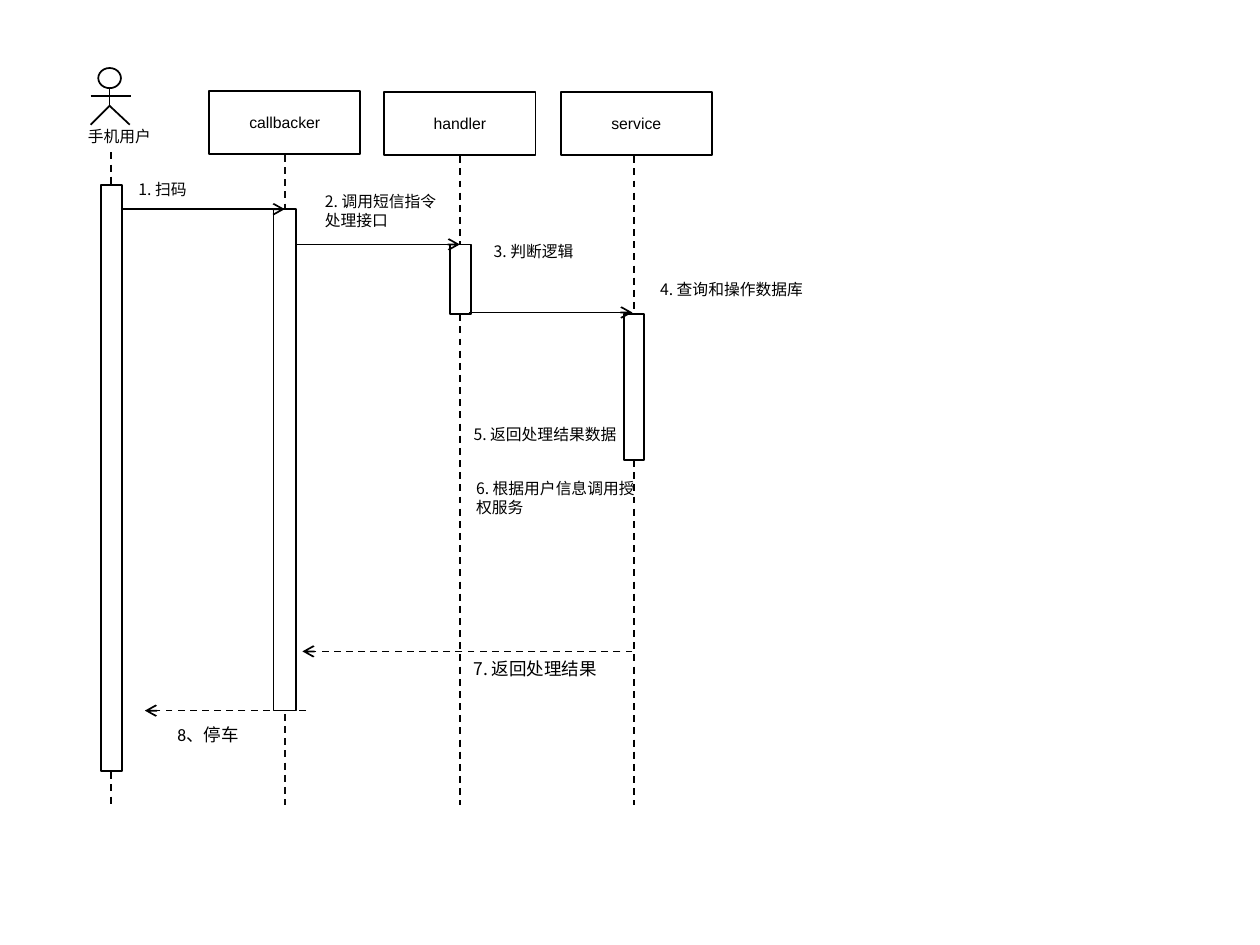
"""Builds a one-slide sequence diagram of a scan-to-park service."""
import lxml.etree
import pptx
import pptx.dml.color
import pptx.enum.dml
import pptx.enum.shapes
import pptx.enum.text
import pptx.oxml.ns
import pptx.util

PX = 9144
COLORS = {"ink": "000000", "paper": "FFFFFF", "soft": "0D0D0D"}
CJK_FONT = "Noto Sans CJK SC"
SHAPES = pptx.enum.shapes.MSO_SHAPE

PARTICIPANTS = [
    {"name": "callbacker", "box": (166, 72, 120, 567), "axis": 60, "bar": (94, 18, 398), "color": "soft"},
    {"name": "handler", "box": (305, 73, 120, 566), "axis": 60, "bar": (121, 17, 55), "color": "ink"},
    {"name": "service", "box": (445, 73, 120, 566), "axis": 58, "bar": (176, 16, 116), "color": "ink"},
]
ARROWS = [
    (96, 166, 226, False),
    (235, 194, 365, False),
    (372, 248, 502, False),
    (502, 517, 240, True),
    (243, 564, 115, True),
]
LABELS = [
    ("1. 扫码", (100, 138, 59, 40), {}),
    ("2. 调用短信指令处理接口", (248, 147, 108, 40), {}),
    ("3. 判断逻辑", (382, 187, 93, 25), {}),
    ("4. 查询和操作数据库", (514, 217, 152, 25), {}),
    ("5. 返回处理结果数据", (366, 332, 148, 25), {}),
    ("6. 根据用户信息调用授权服务", (368, 375, 146, 40), {}),
    ("7. 返回处理结果", (366, 517, 131, 27), {"size": 10}),
    ("8、停车", (131, 570, 69, 44), {"size": 10, "font": "Calibri"}),
]


def color(key):
    """Return the RGB colour stored under a key."""
    return pptx.dml.color.RGBColor.from_string(COLORS[key])


def emu(*lengths):
    """Turn px lengths into EMU."""
    return [pptx.util.Emu(length * PX) for length in lengths]


def write(shape, text, size=9, font=CJK_FONT, centered=False):
    """Put one formatted paragraph into a shape."""
    frame = shape.text_frame
    frame.word_wrap = True
    anchors = pptx.enum.text.MSO_ANCHOR
    frame.vertical_anchor = anchors.MIDDLE if centered else anchors.TOP
    para = frame.paragraphs[0]
    aligns = pptx.enum.text.PP_ALIGN
    para.alignment = aligns.CENTER if centered else aligns.LEFT
    span = para.add_run()
    span.text = text
    span.font.size = pptx.util.Pt(size)
    span.font.name = font
    span.font.color.rgb = color("ink")
    east_asian = lxml.etree.SubElement(span.font._element, pptx.oxml.ns.qn("a:ea"))
    east_asian.set("typeface", CJK_FONT)


def add_label(page, text, box, **style):
    """Add a text box."""
    write(page.shapes.add_textbox(*emu(*box)), text, **style)


def add_outlined(page, kind, box):
    """Add a white shape with a thin black outline."""
    shape = page.shapes.add_shape(kind, *emu(*box))
    shape.shadow.inherit = False
    shape.fill.solid()
    shape.fill.fore_color.rgb = color("paper")
    shape.line.color.rgb = color("ink")
    shape.line.width = pptx.util.Pt(1)
    return shape


def add_line(page, start, end, dashed=False, arrow=False, ink="ink"):
    """Add a straight line, dashed or with an open arrowhead if asked."""
    straight = pptx.enum.shapes.MSO_CONNECTOR.STRAIGHT
    connector = page.shapes.add_connector(straight, *emu(*start, *end))
    connector.line.color.rgb = color(ink)
    connector.line.width = pptx.util.Pt(1)
    if dashed:
        connector.line.dash_style = pptx.enum.dml.MSO_LINE.DASH
    if arrow:
        outline = connector.line._get_or_add_ln()
        lxml.etree.SubElement(outline, pptx.oxml.ns.qn("a:tailEnd")).set("type", "arrow")
    lxml.etree.SubElement(connector._element.spPr, pptx.oxml.ns.qn("a:effectLst"))


def add_lifeline(page, axis, top, bottom, bar, ink="ink"):
    """Draw a dashed lifeline with its activation bar."""
    bar_top, bar_width, bar_height = bar
    add_line(page, (axis, top), (axis, bottom), dashed=True, ink=ink)
    bar_box = (axis - bar_width // 2, bar_top, bar_width, bar_height)
    add_outlined(page, SHAPES.RECTANGLE, bar_box)


def add_participant(page, box, name, axis, bar, ink):
    """Draw a participant's header and lifeline inside a box."""
    left, top, width, height = box
    header = add_outlined(page, SHAPES.FLOWCHART_PROCESS, (left, top, width, 50))
    write(header, name, font="Arial", centered=True)
    bar_top, bar_width, bar_height = bar
    add_lifeline(page, left + axis, top + 51, top + height,
                 (top + bar_top, bar_width, bar_height), ink)


def add_actor(page, box):
    """Draw the stick figure, its name and its lifeline inside a box."""
    left, top, width, height = box
    middle = left + width // 2 - 1
    hip = (middle, top + 30)
    add_lifeline(page, middle + 1, top + 67, top + height, (top + 93, 17, 465))
    add_outlined(page, SHAPES.OVAL, (middle - 9, top, 18, 16))
    add_line(page, (left, top + 22), (left + width, top + 22))
    add_line(page, (middle, top + 16), hip)
    for foot in (left, left + width - 1):
        add_line(page, hip, (foot, top + 45))
    add_label(page, "手机用户", (left - 12, top + 42, 80, 25))


def add_messages(page):
    """Draw the message arrows and their labels."""
    for start, height, end, dashed in ARROWS:
        add_line(page, (start, height), (end, height), dashed=dashed, arrow=True)
    for text, box, style in LABELS:
        add_label(page, text, box, **style)


def main():
    """Build and save the deck."""
    deck = pptx.Presentation()
    deck.slide_width, deck.slide_height = emu(1000, 750)
    page = deck.slides.add_slide(deck.slide_layouts[6])
    for item in PARTICIPANTS:
        add_participant(page, item["box"], item["name"], item["axis"], item["bar"], item["color"])
    add_actor(page, (72, 54, 32, 585))
    add_messages(page)
    deck.save("out.pptx")


if __name__ == "__main__":
    main()
